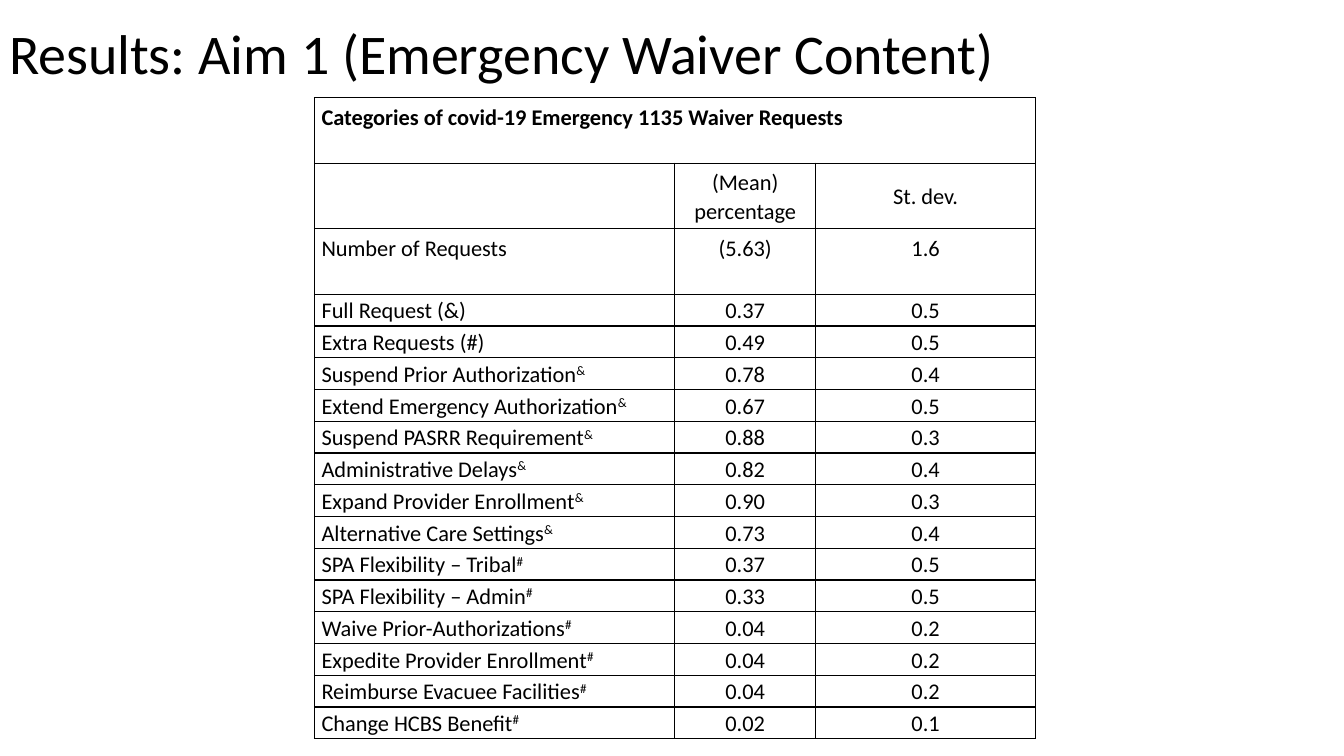
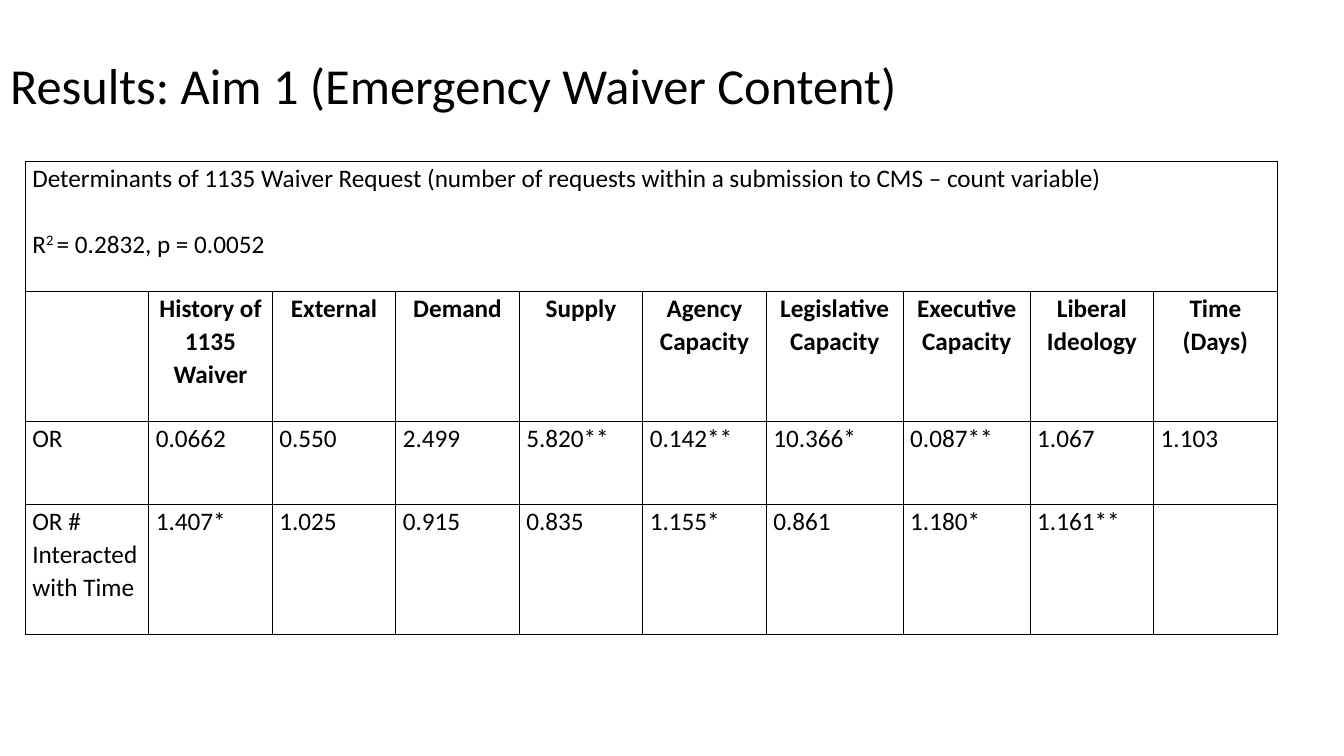
from lxml import etree
from pptx import Presentation
from pptx import util as u
from pptx.dml import color
from pptx.enum import text
from pptx.oxml import ns

# Shared style
WIDTH, HEIGHT = u.Inches(13.33), u.Inches(7.5)
FONT, INK = "Calibri", "000000"
TITLE = "Results: Aim 1 (Emergency Waiver Content)"
LEFT, CENTER = text.PP_ALIGN.LEFT, text.PP_ALIGN.CENTER
TOP, MIDDLE = text.MSO_ANCHOR.TOP, text.MSO_ANCHOR.MIDDLE

# Slide 1: label, mean share, standard deviation
CATEGORIES = [
    ("Full Request (&)", "0.37", "0.5"),
    ("Extra Requests (#)", "0.49", "0.5"),
    ("Suspend Prior Authorization^&", "0.78", "0.4"),
    ("Extend Emergency Authorization^&", "0.67", "0.5"),
    ("Suspend PASRR Requirement^&", "0.88", "0.3"),
    ("Administrative Delays^&", "0.82", "0.4"),
    ("Expand Provider Enrollment^&", "0.90", "0.3"),
    ("Alternative Care Settings^&", "0.73", "0.4"),
    ("SPA Flexibility – Tribal^#", "0.37", "0.5"),
    ("SPA Flexibility – Admin^#", "0.33", "0.5"),
    ("Waive Prior-Authorizations^#", "0.04", "0.2"),
    ("Expedite Provider Enrollment^#", "0.04", "0.2"),
    ("Reimburse Evacuee Facilities^#", "0.04", "0.2"),
    ("Change HCBS Benefit^#", "0.02", "0.1"),
]

# Slide 2: regression results
FACTORS = ["", "History of 1135 Waiver", "External", "Demand", "Supply",
           "Agency Capacity", "Legislative Capacity", "Executive Capacity",
           "Liberal Ideology", "Time (Days)"]
ODDS = [
    ["OR", "0.0662", "0.550", "2.499", "5.820**", "0.142**", "10.366*",
     "0.087**", "1.067", "1.103"],
    ["OR # Interacted with Time", "1.407*", "1.025", "0.915", "0.835",
     "1.155*", "0.861", "1.180*", "1.161**", ""],
]


def across(percent):
    return round(WIDTH * percent / 100)


def down(percent):
    return round(HEIGHT * percent / 100)


def rgb(value):
    return color.RGBColor.from_string(value)


def write(frame, content, size=16, bold=False, align=LEFT, spacing=1.07, gap=0):
    """Fill a frame: newlines part paragraphs, carets enclose superscripts."""
    for index, line in enumerate(content.split("\n")):
        para = frame.add_paragraph() if index else frame.paragraphs[0]
        para.alignment, para.line_spacing = align, spacing
        para.space_before = u.Pt(gap if index else 0)
        for part, words in enumerate(line.split("^")):
            span = para.add_run()
            span.text = words
            span.font.name, span.font.size, span.font.bold = FONT, u.Pt(size), bold
            span.font.color.rgb = rgb(INK)
            if part % 2:
                span.font._element.set("baseline", "30000")


def add_titled_page(deck, left, top, height, size):
    page = deck.slides.add_slide(deck.slide_layouts[5])
    box = page.shapes.title
    box.left, box.top = across(left), down(top)
    box.width, box.height = across(86.27), down(height)
    frame = box.text_frame
    frame.auto_size, frame.word_wrap = text.MSO_AUTO_SIZE.NONE, True
    frame.vertical_anchor = MIDDLE
    write(frame, TITLE, size=size, spacing=0.9)
    return page


def add_borders(cell):
    properties = cell._tc.get_or_add_tcPr()
    for index, side in enumerate(("lnL", "lnR", "lnT", "lnB")):
        line = etree.Element(ns.qn(f"a:{side}"), w=str(u.Pt(1)))
        fill = etree.SubElement(line, ns.qn("a:solidFill"))
        etree.SubElement(fill, ns.qn("a:srgbClr"), val=INK)
        properties.insert(index, line)


def add_grid(page, left, top, columns, rows):
    """Add a plain ruled table whose first row is one merged caption cell."""
    table = page.shapes.add_table(
        len(rows), len(columns), across(left), down(top),
        across(sum(columns)), down(sum(rows))).table
    table.first_row = table.horz_banding = False
    for column, share in zip(table.columns, columns):
        column.width = across(share)
    for row, share in zip(table.rows, rows):
        row.height = down(share)
    for cell in table.iter_cells():
        cell.margin_left = cell.margin_right = u.Inches(0.07)
        cell.margin_top = cell.margin_bottom = 0
        cell.fill.background()
        add_borders(cell)
    table.cell(0, 0).merge(table.cell(0, len(columns) - 1))
    return table


def fill_cell(cell, content, anchor=TOP, inset=0, **style):
    cell.vertical_anchor = anchor
    cell.margin_top = u.Inches(inset)
    if content:
        write(cell.text_frame, content, **style)


def add_categories(deck):
    page = add_titled_page(deck, -0.08, 0.4, 14.13, 40)
    table = add_grid(page, 23.4, 12.93, [26.8, 10.5, 16.35],
                     [8.67] * 3 + [4.2] * len(CATEGORIES))
    fill_cell(table.cell(0, 0), "Categories of covid-19 Emergency 1135 Waiver Requests",
              inset=0.04, bold=True)
    body = [("", "(Mean)\npercentage", "St. dev."),
            ("Number of Requests", "(5.63)", "1.6"), *CATEGORIES]
    for r, values in enumerate(body, 1):
        counts = r == 2
        for c, value in enumerate(values):
            fill_cell(table.cell(r, c), value, anchor=TOP if counts else MIDDLE,
                      inset=0.04 if counts else 0, align=CENTER if c else LEFT)


def add_determinants(deck):
    page = add_titled_page(deck, 0, 2, 19.33, 36)
    table = add_grid(page, 1.88, 21.33, [9.19] * 6 + [10.19, 9.45] + [9.19] * 2,
                     [17.2, 17.2, 11, 17.2])
    fill_cell(table.cell(0, 0),
              "Determinants of 1135 Waiver Request (number of requests within a "
              "submission to CMS – count variable)\nR^2 ^= 0.2832, p = 0.0052",
              size=18, gap=23.5)
    for r, values in enumerate([FACTORS, *ODDS], 1):
        heading = r == 1
        for c, value in enumerate(values):
            fill_cell(table.cell(r, c), value, size=18, bold=heading,
                      align=CENTER if heading else LEFT)


def main():
    deck = Presentation()
    deck.slide_width, deck.slide_height = WIDTH, HEIGHT
    add_categories(deck)
    add_determinants(deck)
    deck.save("out.pptx")


if __name__ == "__main__":
    main()
